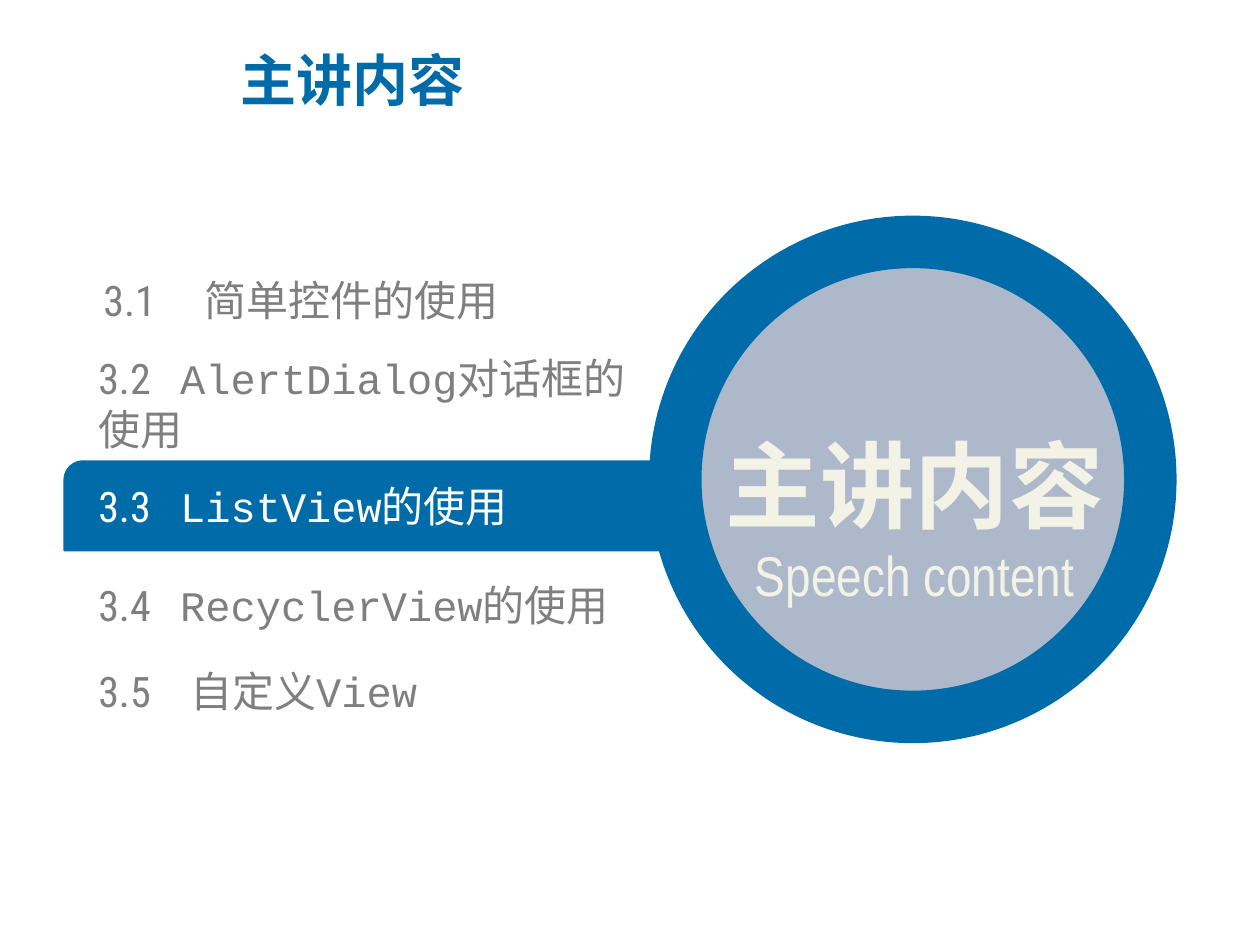
from dataclasses import dataclass

from lxml import etree
from pptx import Presentation
from pptx.dml.color import RGBColor
from pptx.enum.shapes import MSO_SHAPE
from pptx.enum.text import MSO_ANCHOR, MSO_AUTO_SIZE, PP_ALIGN
from pptx.oxml.ns import qn
from pptx.shapes.autoshape import Shape
from pptx.slide import Slide
from pptx.text.text import TextFrame, _Paragraph
from pptx.util import Inches, Pt

DIAGONAL_ROUND = MSO_SHAPE.ROUND_2_DIAG_RECTANGLE
OVAL = MSO_SHAPE.OVAL
MIDDLE = MSO_ANCHOR.MIDDLE
FIT_SHAPE = MSO_AUTO_SIZE.SHAPE_TO_FIT_TEXT
NO_FIT = MSO_AUTO_SIZE.NONE
LEFT, CENTER = PP_ALIGN.LEFT, PP_ALIGN.CENTER

COLORS = {"blue": "006BA9", "disc": "ADB9CA", "cream": "F2F2E6", "gray": "7F7F7F", "white": "FFFFFF"}
CHINESE, CONDENSED = "Noto Sans CJK SC", "Roboto Condensed"
CODE, NARROW = "Courier New", "Arial Narrow"

SLIDE_WIDTH, SLIDE_HEIGHT = Inches(10), Inches(7.5)
COLUMN, ROW = SLIDE_WIDTH / 100, SLIDE_HEIGHT / 75


@dataclass(frozen=True)
class Area:
    column: float
    row: float
    columns: float
    rows: float

    def box(self) -> tuple[int, int, int, int]:
        return (round(self.column * COLUMN), round(self.row * ROW),
                round(self.columns * COLUMN), round(self.rows * ROW))


@dataclass(frozen=True)
class Topic:
    number: str
    wording: tuple[tuple[str, str], ...]
    row: float
    color: str = "gray"
    column: float = 7.8
    columns: float = 41.9
    gap: float = 6.5


TOPICS = (
    Topic("3.1", (("简单控件的使用", CONDENSED),), 21.8, column=8.2, gap=8),
    Topic("3.2", (("AlertDialog", CODE), ("对话框的使用", CONDENSED)), 30, columns=44.1),
    Topic("3.3", (("ListView", CODE), ("的使用", CONDENSED)), 38.1, color="white"),
    Topic("3.4", (("RecyclerView", CODE), ("的使用", CONDENSED)), 46),
    Topic("3.5", (("自定义", CONDENSED), ("View", CODE)), 52.8, gap=7.3),
)


def rgb(name: str) -> RGBColor:
    return RGBColor.from_string(COLORS[name])


def add_run(paragraph: _Paragraph, text: str, font: str, size: float, color: str, bold: bool = False) -> None:
    run = paragraph.add_run()
    run.text = text
    run.font.size = Pt(size)
    run.font.bold = bold
    run.font.color.rgb = rgb(color)
    run.font.name = font
    properties = run._r.get_or_add_rPr()
    etree.SubElement(properties, qn("a:ea"), typeface=CHINESE)


def add_tab_stop(paragraph: _Paragraph, columns: float) -> None:
    tabs = etree.SubElement(paragraph._p.get_or_add_pPr(), qn("a:tabLst"))
    etree.SubElement(tabs, qn("a:tab"), pos=str(round(columns * COLUMN)), algn="l")


def add_text_frame(slide: Slide, area: Area) -> TextFrame:
    frame = slide.shapes.add_textbox(*area.box()).text_frame
    frame.word_wrap = True
    frame.auto_size = FIT_SHAPE
    frame.vertical_anchor = MIDDLE
    return frame


def add_shape(slide: Slide, kind: int, area: Area, fill: str, line_width: float) -> Shape:
    shape = slide.shapes.add_shape(kind, *area.box())
    shape.shadow.inherit = False
    shape.fill.solid()
    shape.fill.fore_color.rgb = rgb(fill)
    shape.line.color.rgb = rgb("blue")
    shape.line.width = Pt(line_width)
    return shape


def add_topic(slide: Slide, topic: Topic) -> None:
    frame = add_text_frame(slide, Area(topic.column, topic.row, topic.columns, 4))
    frame.margin_left = frame.margin_right = frame.margin_top = frame.margin_bottom = 0
    paragraph = frame.paragraphs[0]
    add_tab_stop(paragraph, topic.gap)
    add_run(paragraph, topic.number + "\t", CONDENSED, 24, topic.color)
    for text, font in topic.wording:
        add_run(paragraph, text, font, 24, topic.color)


def set_title(slide: Slide) -> None:
    title = slide.shapes.title
    title.left, title.top, title.width, title.height = Area(18.1, 2.1, 56.3, 8.4).box()
    frame = title.text_frame
    frame.auto_size = NO_FIT
    frame.vertical_anchor = MIDDLE
    paragraph = frame.paragraphs[0]
    paragraph.alignment = LEFT
    add_run(paragraph, "主讲内容", CHINESE, 32, "blue", True)


def add_disc(slide: Slide) -> None:
    add_shape(slide, OVAL, Area(53.6, 19.2, 37.7, 37.7), "disc", 30)
    frame = add_text_frame(slide, Area(53.1, 28.8, 39, 20))
    heading = frame.paragraphs[0]
    heading.alignment = CENTER
    heading.line_spacing = 1.5
    add_run(heading, "主讲内容", CHINESE, 54, "cream", True)
    subheading = frame.add_paragraph()
    subheading.alignment = CENTER
    add_run(subheading, "Speech content", NARROW, 32, "cream")


def main() -> None:
    presentation = Presentation()
    presentation.slide_width, presentation.slide_height = SLIDE_WIDTH, SLIDE_HEIGHT
    slide = presentation.slides.add_slide(presentation.slide_layouts.get_by_name("Title Only"))
    set_title(slide)
    band = add_shape(slide, DIAGONAL_ROUND, Area(5.1, 36.6, 63.8, 7.1), "blue", 1)
    band.adjustments[0] = 0.21
    band.adjustments[1] = 0
    for topic in TOPICS:
        add_topic(slide, topic)
    add_disc(slide)
    presentation.save("out.pptx")


if __name__ == "__main__":
    main()
